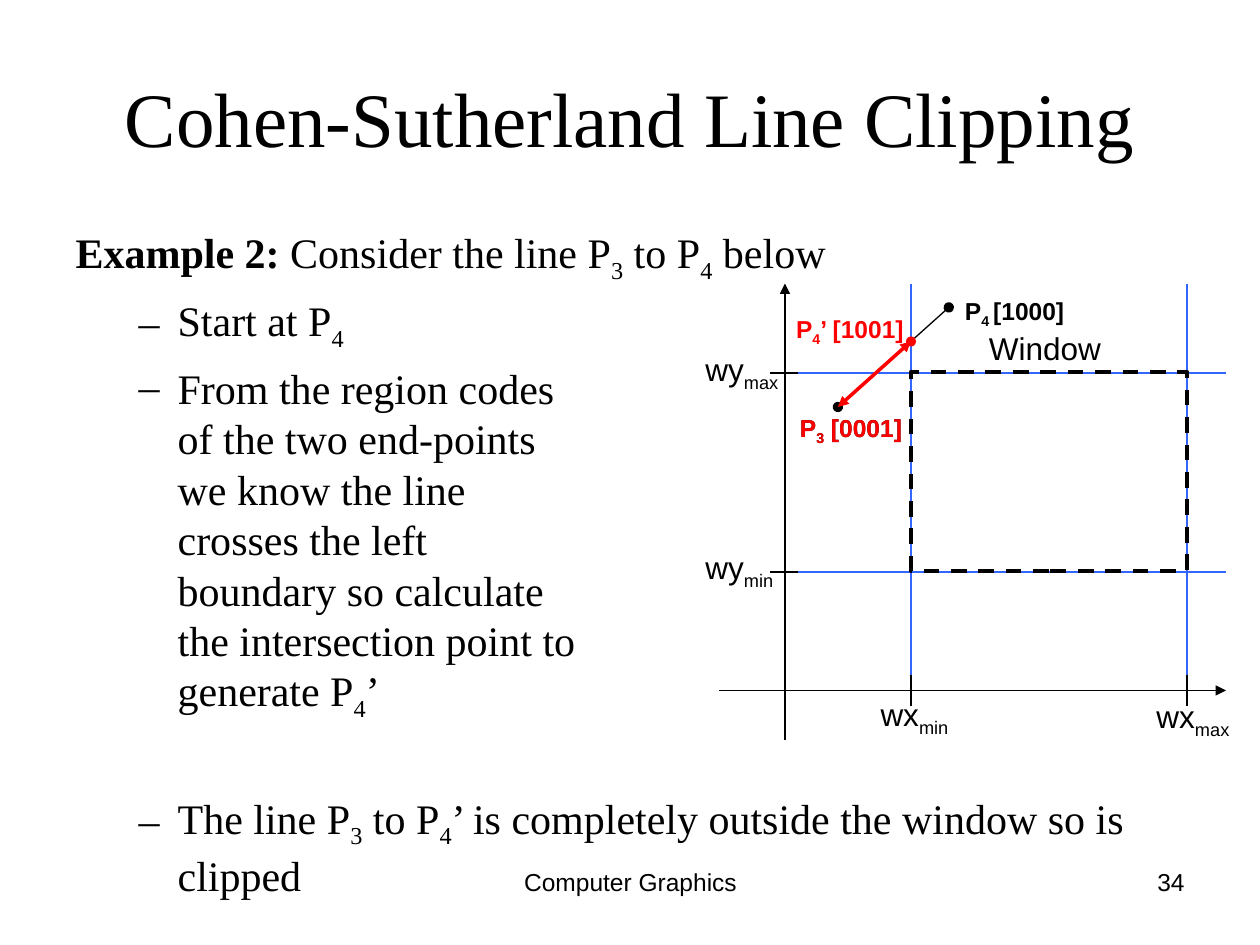
from lxml.etree import SubElement
from pptx import Presentation
from pptx.dml.color import RGBColor
from pptx.enum.dml import MSO_LINE
from pptx.enum.shapes import MSO_CONNECTOR, MSO_SHAPE
from pptx.enum.text import MSO_ANCHOR, MSO_AUTO_SIZE, PP_ALIGN
from pptx.oxml.ns import qn
from pptx.util import Inches, Pt

BLACK, RED, BLUE = "000000", "FF0000", "3366FF"
SERIF, SANS = "Times New Roman", "Arial"

# In all texts {3} is a subscript 3, and \n breaks the line.
TITLE = "Cohen-Sutherland Line Clipping"
LEAD = ("Example 2: ", "Consider the line P{3} to P{4} below")
STEPS = [  # text, space before
    ("Start at P{4}", 6),
    ("From the region codes \nof the two end-points \nwe know the line \n"
     "crosses the left \nboundary so calculate \nthe intersection point to \n"
     "generate P{4}’", 6),
    ("The line P{3} to P{4}’ is completely outside the window so is clipped", 40),
]
FOOTERS = [
    ("Computer Graphics", 3.42, 3.17, PP_ALIGN.CENTER),
    ("34", 7.17, 2.33, PP_ALIGN.RIGHT),
]

# Window edges, axes and points of the diagram
XMIN, XMAX, YMAX, YMIN = 7.23, 9.42, 2.96, 4.54
AXIS_X, AXIS_Y, TOP = 6.23, 5.48, 2.25
P3, P4, CUT = (6.65, 3.23), (7.53, 2.44), (7.23, 2.71)
DOT = 0.08

AXIS_LABELS = [  # text, left, top, width, height
    ("wy{max}", 5.5, 2.73, 0.78, 0.44),
    ("wy{min}", 5.5, 4.3, 0.74, 0.44),
    ("wx{min}", 6.89, 5.47, 0.74, 0.44),
    ("wx{max}", 9.08, 5.48, 0.78, 0.44),
    ("Window", 7.75, 2.56, 1.09, 0.4),
]
POINT_LABELS = [  # text, left, top, width, colour
    ("P{4}’ [1001]", 6.22, 2.44, 1.06, RED),
    ("P{3} [0001]", 6.25, 3.23, 1.01, BLACK),
    ("P{4 }[1000]", 7.56, 2.3, 0.99, BLACK),
    ("P{3} [0001]", 6.25, 3.23, 1.01, RED),
]


def rgb(code):
    return RGBColor.from_string(code)


def write(para, text, size=24, font=SERIF, color=BLACK, bold=False):
    """Add text to a paragraph, with {..} as subscript."""
    for i, part in enumerate(text.replace("}", "{").split("{")):
        for j, line in enumerate(part.split("\n")):
            if j:
                para.add_line_break()
            if not line:
                continue
            run = para.add_run()
            run.text = line
            run.font.size, run.font.name, run.font.bold = Pt(size), font, bold
            run.font.color.rgb = rgb(color)
            if i % 2:
                run._r.get_or_add_rPr().set("baseline", "-25000")


def label(text, x, y, w, h, align=PP_ALIGN.LEFT, wrap=False, **form):
    box = slide.shapes.add_textbox(Inches(x), Inches(y), Inches(w), Inches(h))
    box.text_frame.word_wrap = wrap
    para = box.text_frame.paragraphs[0]
    para.alignment = align
    write(para, text, font=SANS, **form)


def line(start, end, color=BLACK, width=0.75, head=None, tail=None):
    link = slide.shapes.add_connector(
        MSO_CONNECTOR.STRAIGHT, *[Inches(v) for v in (*start, *end)])
    link.line.color.rgb = rgb(color)
    link.line.width = Pt(width)
    for tag, kind in (("a:headEnd", head), ("a:tailEnd", tail)):
        if kind:
            SubElement(link.line._get_or_add_ln(), qn(tag), type=kind)
    SubElement(link._element.spPr, qn("a:effectLst"))


def shape(kind, x, y, w, h):
    item = slide.shapes.add_shape(
        kind, Inches(x), Inches(y), Inches(w), Inches(h))
    item.shadow.inherit = False
    return item


def place(holder, x, y, w, h):
    holder.left, holder.top = Inches(x), Inches(y)
    holder.width, holder.height = Inches(w), Inches(h)
    holder.text_frame.auto_size = MSO_AUTO_SIZE.NONE
    return holder.text_frame


def indent(para, left, first, bullet=None):
    props = para._p.get_or_add_pPr()
    props.set("marL", str(Inches(left)))
    props.set("indent", str(Inches(first)))
    if bullet:
        SubElement(props, qn("a:buFont"), typeface=SERIF)
        SubElement(props, qn("a:buChar"), char=bullet)
    else:
        SubElement(props, qn("a:buNone"))


deck = Presentation()
deck.slide_width, deck.slide_height = Inches(10), Inches(7.5)
slide = deck.slides.add_slide(deck.slide_layouts[1])

for text, x, w, align in FOOTERS:
    label(text, x, 6.83, w, 0.52, align, True, size=14)

frame = place(slide.shapes.title, 0.5, 0.3, 9, 1.25)
frame.vertical_anchor = MSO_ANCHOR.MIDDLE
frame.paragraphs[0].alignment = PP_ALIGN.CENTER
write(frame.paragraphs[0], TITLE, size=44)

frame = place(slide.placeholders[1], 0.5, 1.75, 9.25, 5.5)
para = frame.paragraphs[0]
indent(para, 0.38, -0.38)
para.space_before = Pt(0)
write(para, LEAD[0], bold=True)
write(para, LEAD[1])
for text, gap in STEPS:
    para = frame.add_paragraph()
    para.level = 1
    indent(para, 0.81, -0.31, "–")
    para.space_before = Pt(gap)
    write(para, text)

for x in (XMIN, XMAX):
    line((x, TOP), (x, 5.4), BLUE)
for y in (YMAX, YMIN):
    line((9.73, y), (6.3, y), BLUE)
line((5.71, AXIS_Y), (9.73, AXIS_Y), tail="triangle")
line((AXIS_X, 5.87), (AXIS_X, TOP), tail="triangle")

window = shape(MSO_SHAPE.RECTANGLE, XMIN, 2.95, XMAX - XMIN, 1.58)
window.fill.background()
window.line.color.rgb = rgb(BLACK)
window.line.width = Pt(2.25)
window.line.dash_style = MSO_LINE.DASH

for y in (YMAX, YMIN):
    line((6.33, y), (6.11, y))
for x in (XMIN, XMAX):
    line((x, AXIS_Y - 0.12), (x, AXIS_Y + 0.12))
for text, *area in AXIS_LABELS:
    label(text, *area, size=18)

line(P3, P4, head="oval", tail="oval")
dot = shape(MSO_SHAPE.OVAL, CUT[0] - DOT / 2, CUT[1] - DOT / 2, DOT, DOT)
dot.fill.solid()
dot.fill.fore_color.rgb = rgb(RED)
dot.line.fill.background()
line(P3, CUT, RED, 2, head="triangle", tail="triangle")
for text, x, y, w, color in POINT_LABELS:
    label(text, x, y, w, 0.37, size=14, color=color, bold=True)

deck.save("out.pptx")
